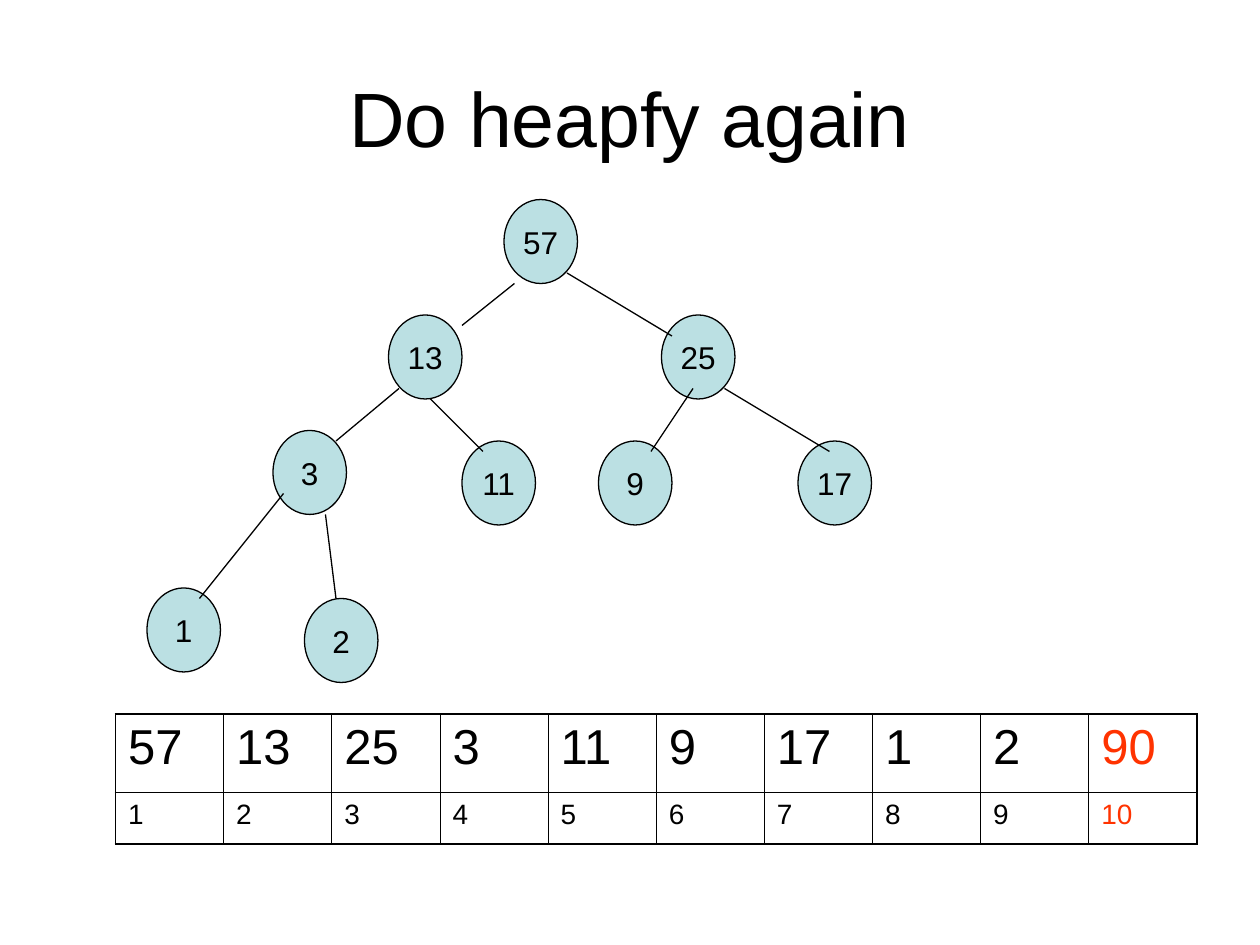
from lxml import etree
from pptx import Presentation
from pptx.dml.color import RGBColor
from pptx.enum.shapes import MSO_CONNECTOR, MSO_SHAPE
from pptx.enum.text import MSO_ANCHOR, PP_ALIGN
from pptx.oxml.ns import qn
from pptx.util import Emu, Pt

OVAL = MSO_SHAPE.OVAL
STRAIGHT = MSO_CONNECTOR.STRAIGHT
MIDDLE = MSO_ANCHOR.MIDDLE
CENTER = PP_ALIGN.CENTER
LEFT = PP_ALIGN.LEFT

EMU_PER_PX = 9525
FONT = "Arial"
COLORS = {"ink": "000000", "node": "BBE0E3", "removed": "FF3300"}
NODE_SIZE = (56, 64)
THIN, THICK = 0.45, 1.08

HEAP_NODES = {
    57: (384, 152),
    13: (296, 240),
    25: (504, 240),
    3: (208, 328),
    11: (352, 336),
    9: (456, 336),
    17: (608, 336),
    1: (112, 448),
    2: (232, 456),
}
EDGES = [
    ((392, 216), (352, 248)),
    ((432, 208), (512, 256)),
    ((304, 296), (256, 336)),
    ((328, 304), (368, 344)),
    ((216, 376), (152, 456)),
    ((248, 392), (256, 456)),
    ((528, 296), (496, 344)),
    ((552, 296), (632, 344)),
]
REMOVED_VALUE = 90


def px(*lengths):
    """Convert pixel lengths to a list of EMU lengths."""
    return [Emu(length * EMU_PER_PX) for length in lengths]


def color(name):
    """Look up a named colour."""
    return RGBColor.from_string(COLORS[name])


def write(frame, text, size, align, ink="ink"):
    """Put one formatted line of text into a text frame."""
    frame.text = text
    line = frame.paragraphs[0]
    line.alignment = align
    for run in line.runs:
        run.font.name = FONT
        run.font.size = Pt(size)
        run.font.color.rgb = color(ink)


def set_outline(line):
    """Give a node or an edge its thin dark line."""
    line.color.rgb = color("ink")
    line.width = Pt(0.75)


def add_title(slide, text):
    """Place and fill the title placeholder."""
    title = slide.shapes.title
    title.left, title.top, title.width, title.height = px(48, 29, 864, 120)
    title.text_frame.vertical_anchor = MIDDLE
    write(title.text_frame, text, 44, CENTER)


def add_node(slide, value, position):
    """Draw one heap node with its value."""
    node = slide.shapes.add_shape(OVAL, *px(*position, *NODE_SIZE))
    node.shadow.inherit = False
    node.fill.solid()
    node.fill.fore_color.rgb = color("node")
    set_outline(node.line)
    node.text_frame.word_wrap = False
    node.text_frame.vertical_anchor = MIDDLE
    write(node.text_frame, str(value), 18, CENTER)


def add_edge(slide, parent_end, child_end):
    """Draw one line between a parent and a child."""
    edge = slide.shapes.add_connector(STRAIGHT, *px(*parent_end, *child_end))
    set_outline(edge.line)
    etree.SubElement(edge._element.spPr, qn("a:effectLst"))


def set_borders(cell, widths):
    """Set the left, right, top and bottom border widths of a cell."""
    properties = cell._tc.get_or_add_tcPr()
    for index, (side, width) in enumerate(zip("LRTB", widths)):
        border = etree.Element(qn(f"a:ln{side}"), w=str(int(Pt(width))))
        fill = etree.SubElement(border, qn("a:solidFill"))
        etree.SubElement(fill, qn("a:srgbClr"), val=COLORS["ink"])
        properties.insert(index, border)


def add_heap_array(slide, values):
    """Draw the array of heap values above their positions."""
    rows = [(values, 28, 60), (range(1, len(values) + 1), 16, 39)]
    last_row, last_column = len(rows) - 1, len(values) - 1
    frame = slide.shapes.add_table(len(rows), len(values), *px(88, 544, 824, 99))
    array = frame.table
    array.first_row = array.horz_banding = False
    for r, (entries, size, height) in enumerate(rows):
        array.rows[r].height = px(height)[0]
        for c, entry in enumerate(entries):
            cell = array.cell(r, c)
            cell.fill.background()
            ink = "removed" if values[c] == REMOVED_VALUE else "ink"
            write(cell.text_frame, str(entry), size, LEFT, ink)
            outer = (c == 0, c == last_column, r == 0, r == last_row)
            set_borders(cell, [THICK if edge else THIN for edge in outer])


def main():
    """Build the heap slide and save it."""
    deck = Presentation()
    deck.slide_width, deck.slide_height = px(960, 720)
    slide = deck.slides.add_slide(deck.slide_layouts[5])
    add_title(slide, "Do heapfy again")
    for value, position in HEAP_NODES.items():
        add_node(slide, value, position)
    for parent_end, child_end in EDGES:
        add_edge(slide, parent_end, child_end)
    add_heap_array(slide, [*HEAP_NODES, REMOVED_VALUE])
    deck.save("out.pptx")


if __name__ == "__main__":
    main()
